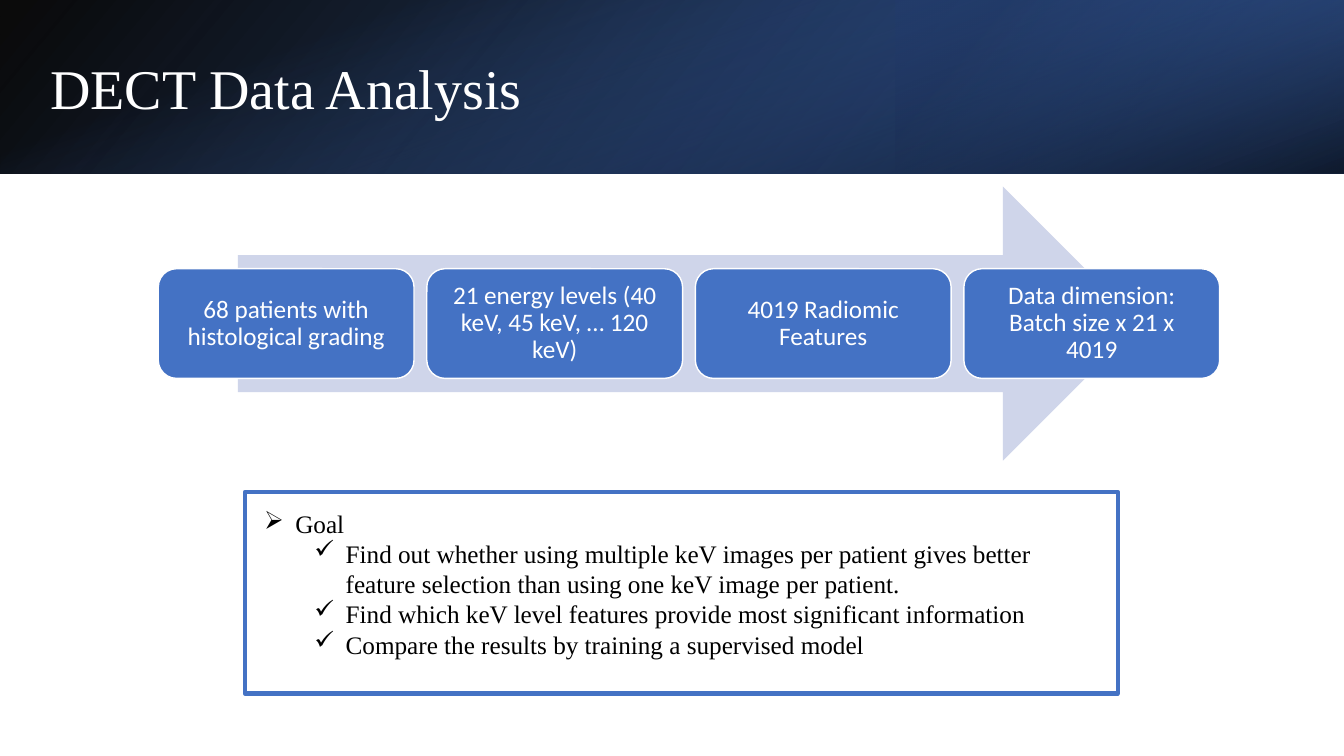
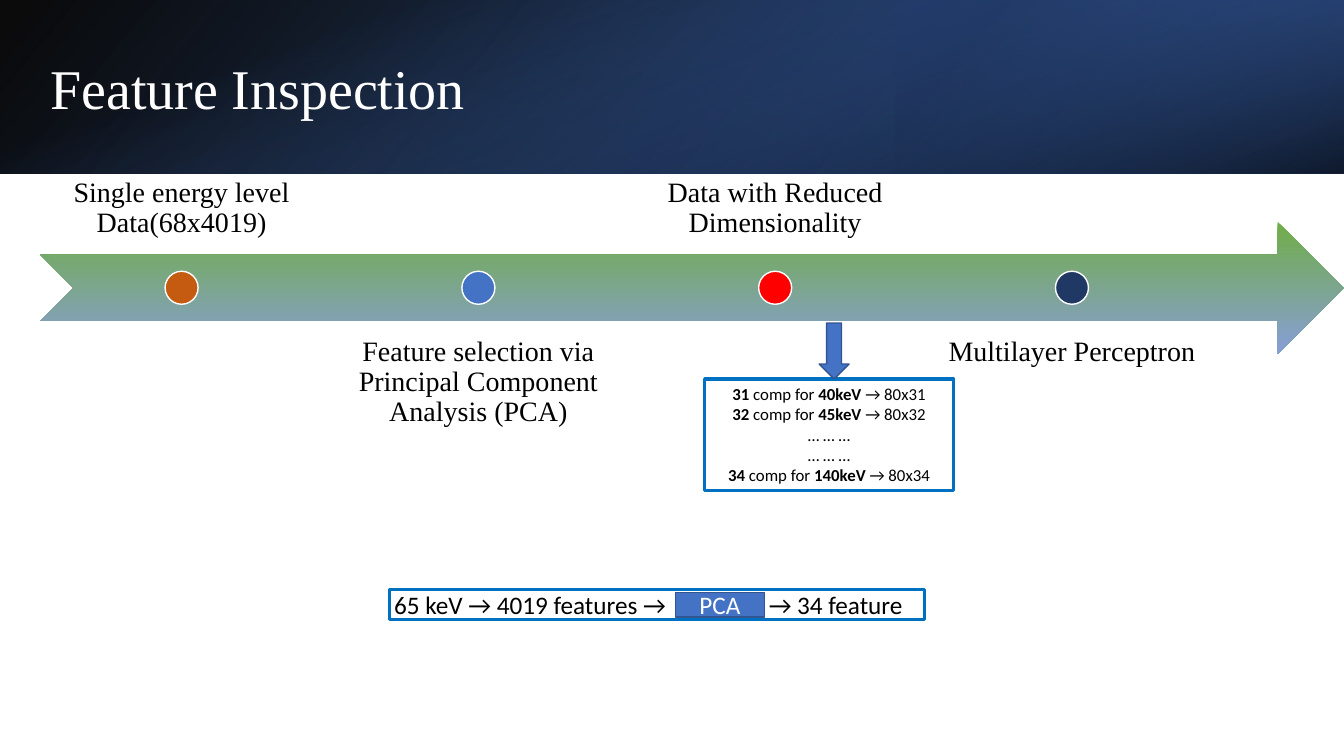
from itertools import cycle

from lxml.etree import SubElement
from pptx import Presentation
from pptx.dml.color import RGBColor
from pptx.enum.shapes import MSO_SHAPE as SHAPE
from pptx.enum.text import MSO_ANCHOR as ANCHOR, MSO_AUTO_SIZE as AUTO, PP_ALIGN as ALIGN
from pptx.oxml.ns import qn
from pptx.util import Inches, Pt

COLS, ROWS, PER_INCH = 160, 90, 12
BAND_ROWS = 20.64
SERIF, SANS = "Times New Roman", "Calibri"
BLACK, WHITE, BLUE, NAVY = "000000", "FFFFFF", "4472C4", "203864"
EDGE, FRAME = "325491", "0070C0"
TITLE_FORMAT = {"name": SERIF, "size": Pt(40)}
GOAL_FORMAT = {"name": SERIF, "size": Pt(18)}
LABEL_FORMAT = {"name": SERIF, "size": Pt(20)}
CARD_FORMAT = {"name": SANS, "size": Pt(18)}
NOTE_FORMAT = {"name": SANS, "size": Pt(12)}


def rgb(color):
    return RGBColor.from_string(color)


def grid(units):
    return Inches(units / PER_INCH)


def within(box, left, top, width, height):
    x, y, w, h = box
    return x + left * w, y + top * h, width * w, height * h


def split(box, count, gap=0.05):
    x, y, w, h = box
    part = w / (count + (count - 1) * gap)
    return [(x + i * part * (1 + gap), y, part, h) for i in range(count)]


def add_part(slide, kind, box, fill=None, line=None, weight=1):
    part = slide.shapes.add_shape(kind, *map(grid, box))
    part.shadow.inherit = False
    if fill:
        part.fill.solid()
        part.fill.fore_color.rgb = rgb(fill)
    else:
        part.fill.background()
    if line:
        part.line.color.rgb = rgb(line)
        part.line.width = Pt(weight)
    else:
        part.line.fill.background()
    return part


def set_gradient(part, angle, *stops):
    part.fill.gradient()
    gradient = part._element.spPr.find(qn("a:gradFill"))
    for child in list(gradient):
        gradient.remove(child)
    stop_list = SubElement(gradient, qn("a:gsLst"))
    for position, color, opacity in stops:
        stop = SubElement(stop_list, qn("a:gs"), pos=str(position * 1000))
        tone = SubElement(stop, qn("a:srgbClr"), val=color)
        SubElement(tone, qn("a:alpha"), val=str(opacity * 1000))
    SubElement(gradient, qn("a:lin"), ang=str(angle * 60000), scaled="0")


def write(part, lines, font_format, color=BLACK, align=ALIGN.CENTER,
          anchor=ANCHOR.MIDDLE, insets=(0.1, 0.05, 0.1, 0.05), spacing=1.0):
    frame = part.text_frame
    left, top, right, bottom = map(Inches, insets)
    frame_format = {"word_wrap": True, "auto_size": AUTO.NONE, "vertical_anchor": anchor,
                    "margin_left": left, "margin_top": top,
                    "margin_right": right, "margin_bottom": bottom}
    for key, value in frame_format.items():
        setattr(frame, key, value)
    for index, line in enumerate(lines):
        paragraph = frame.add_paragraph() if index else frame.paragraphs[0]
        paragraph.alignment = align
        paragraph.line_spacing = spacing
        for text, bold in [(line, False)] if isinstance(line, str) else line:
            run = paragraph.add_run()
            run.text = text
            for key, value in {**font_format, "bold": bold}.items():
                setattr(run.font, key, value)
            run.font.color.rgb = rgb(color)
    return frame.paragraphs


def add_band(slide):
    wide = add_part(slide, SHAPE.RECTANGLE, (0, 0, COLS, BAND_ROWS))
    corner = add_part(slide, SHAPE.RECTANGLE, (COLS * 2 / 3, 0, COLS / 3, BAND_ROWS))
    shift = (COLS - BAND_ROWS) / 2
    veil = add_part(slide, SHAPE.RECTANGLE, (shift, -shift, BAND_ROWS, COLS))
    corner.rotation, veil.rotation = 180, 90
    for flipped in (wide, corner):
        flipped._element.spPr.xfrm.set("flipH", "1")
    set_gradient(wide, 140, (0, BLACK, 96), (100, "2F5597", 100))
    set_gradient(corner, 320, (19, NAVY, 68), (100, BLUE, 79))
    set_gradient(veil, 340, (23, BLUE, 0), (99, BLACK, 74))


def add_titled_slide(deck, heading):
    slide = deck.slides.add_slide(deck.slide_layouts[5])
    add_band(slide)
    title = slide.shapes.title
    title.left, title.top, title.width, title.height = map(grid, (4.8, 5.16, 131.76, 11.52))
    write(title, [heading], TITLE_FORMAT, WHITE, ALIGN.LEFT, spacing=0.9)
    slide.shapes._spTree.append(title._element)
    return slide


def add_process(slide, box, steps):
    add_part(slide, SHAPE.RIGHT_ARROW, within(box, 0.075, 0, 0.85, 1), "CFD5EA")
    for step, cell in zip(steps, split(within(box, 0, 0.3, 1, 0.4), len(steps))):
        card = add_part(slide, SHAPE.ROUNDED_RECTANGLE, cell, BLUE, WHITE)
        write(card, [step], CARD_FORMAT, WHITE, insets=(0.12,) * 4, spacing=0.9)


def add_goals(slide, box, heading, goals):
    panel = add_part(slide, SHAPE.RECTANGLE, box, line=BLUE, weight=3)
    paragraphs = write(panel, [heading, *goals], GOAL_FORMAT, align=ALIGN.LEFT,
                       anchor=ANCHOR.TOP, insets=(0.19, 0.16, 0.28, 0.05))
    for index, paragraph in enumerate(paragraphs):
        paragraph.level = min(index, 1)
        properties = paragraph._p.get_or_add_pPr()
        properties.set("marL", str(Inches(0.81 if index else 0.31)))
        properties.set("indent", str(Inches(-0.31)))
        SubElement(properties, qn("a:buChar"), char="✓" if index else "➢")


def add_timeline(slide, box, stages):
    arrow = add_part(slide, SHAPE.NOTCHED_RIGHT_ARROW, box)
    set_gradient(arrow, 90, (0, "70AD47", 100), (100, "889ED7", 100))
    sides = cycle([(-0.75, ANCHOR.BOTTOM), (0.75, ANCHOR.TOP)])
    cells = split(within(box, 0, 0, 0.9, 1), len(stages))
    for (stage, color), cell, (offset, anchor) in zip(stages, cells, sides):
        label = slide.shapes.add_textbox(*map(grid, within(cell, 0, offset, 1, 1)))
        write(label, [stage], LABEL_FORMAT, anchor=anchor, insets=(0.16,) * 4, spacing=0.9)
        x, y, w, h = cell
        size = h / 4
        dot = (x + (w - size) / 2, y + (h - size) / 2, size, size)
        add_part(slide, SHAPE.OVAL, dot, color, WHITE)


def add_component_note(slide, box, rows):
    note = add_part(slide, SHAPE.RECTANGLE, box, line=FRAME, weight=2.25)
    lines = [[(count, True), (" comp for ", False), (f"{level} ", True), (f"→ {shape}", False)]
             for count, level, shape in rows]
    write(note, lines[:-1] + ["… … …"] * 2 + lines[-1:], NOTE_FORMAT, anchor=ANCHOR.TOP)
    add_part(slide, SHAPE.DOWN_ARROW, within(box, 0.46, -0.5, 0.12, 0.5), BLUE, EDGE)


def add_pipeline(slide, box, before, method, after):
    strip = add_part(slide, SHAPE.RECTANGLE, box, line=FRAME, weight=2.25)
    paragraph = write(strip, [f"{before}\t{after}"], CARD_FORMAT, align=ALIGN.LEFT,
                      insets=(0.05, 0, 0, 0))[0]
    tabs = SubElement(paragraph._p.get_or_add_pPr(), qn("a:tabLst"))
    SubElement(tabs, qn("a:tab"), pos=str(grid(box[2] * 0.7)), algn="l")
    chip = add_part(slide, SHAPE.RECTANGLE, within(box, 0.535, 0.1, 0.166, 0.8), BLUE, EDGE)
    write(chip, [method], CARD_FORMAT, WHITE, insets=(0,) * 4)


def build_analysis(deck):
    slide = add_titled_slide(deck, "DECT Data Analysis")
    add_process(slide, (18.84, 22.2, 126.36, 32.64), [
        "68 patients with histological grading",
        "21 energy levels (40 keV, 45 keV, … 120 keV)",
        "4019 Radiomic Features",
        "Data dimension: Batch size x 21 x 4019",
    ])
    add_goals(slide, (29.16, 58.56, 103.92, 24), "Goal", [
        "Find out whether using multiple keV images per patient gives better "
        "feature selection than using one keV image per patient.",
        "Find which keV level features provide most significant information",
        "Compare the results by training a supervised model",
    ])


def build_inspection(deck):
    slide = add_titled_slide(deck, "Feature Inspection")
    add_timeline(slide, (4.8, 26.4, 155.16, 15.72), [
        ("Single energy level Data(68x4019)", "C55A11"),
        ("Feature selection via Principal Component Analysis (PCA)", BLUE),
        ("Data with Reduced Dimensionality", "FF0000"),
        ("Multilayer Perceptron", NAVY),
    ])
    add_component_note(slide, (83.88, 45.12, 29.64, 13.32), [
        ("31", "40keV", "80x31"),
        ("32", "45keV", "80x32"),
        ("34", "140keV", "80x34"),
    ])
    add_pipeline(slide, (46.32, 70.2, 63.72, 3.6),
                 "65 keV → 4019 features →", "PCA", "→ 34 feature")


def main():
    deck = Presentation()
    deck.slide_width, deck.slide_height = grid(COLS), grid(ROWS)
    build_analysis(deck)
    build_inspection(deck)
    deck.save("out.pptx")


if __name__ == "__main__":
    main()
